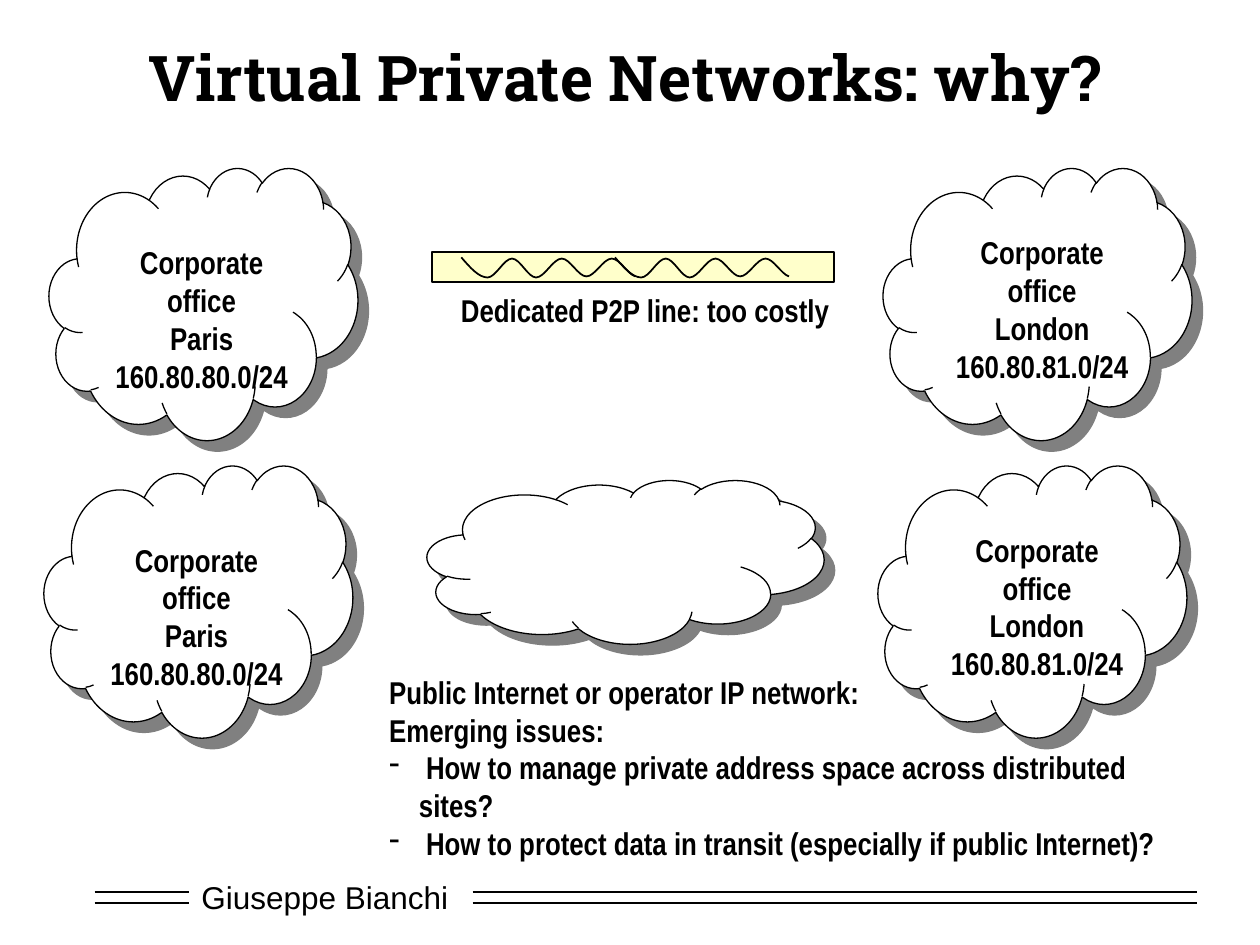
"""Build the slide on why virtual private networks are used."""
from lxml.etree import SubElement
from pptx import Presentation
from pptx.dml.color import RGBColor
from pptx.enum.shapes import MSO_CONNECTOR, MSO_SHAPE
from pptx.enum.text import MSO_ANCHOR, PP_ALIGN
from pptx.oxml.ns import qn
from pptx.util import Pt

COLORS = {"ink": "000000", "paper": "FFFFFF", "pipe": "FFFF99", "shade": "808080"}
NARROW = "Arial Narrow"
TITLE = "Virtual Private Networks: why?"
AUTHOR = "Giuseppe Bianchi"
LINK = "Dedicated P2P line: too costly"
OFFICES = [
    (["Corporate\voffice\vParis", "160.80.80.0/24"], (28.1, 95.8), (58.3, 135.4)),
    (["Corporate\voffice\vLondon", "160.80.81.0/24"], (504.7, 95.8), (538.6, 129.8)),
]
ROWS = [(0, 0), (-2.9, 170)]
HEADS = ["Public Internet or operator IP network:", "Emerging issues:"]
ISSUES = [
    " How to manage private address space across distributed sites?",
    " How to protect data in transit (especially if public Internet)?",
]
WAVE = [(0, 0), (15, 11.5), (29, 0.7), (42.7, 11.5), (57.4, 0.7),
        (71.5, 10.9), (86, 0.7), (99.4, 10.9)]
WAVES = [(263.6, 147.1), (351.4, 147.1)]
RULES = [(54, 108), (270, 684)]
LEVELS = [509.8, 516.2]
STEPS = 8


def color(name):
    return RGBColor.from_string(COLORS[name])


def text(slide, lines, place, face, size, bold=True, align=PP_ALIGN.LEFT,
         anchor=MSO_ANCHOR.TOP, wrap=False):
    box = slide.shapes.add_textbox(*map(Pt, place))
    frame = box.text_frame
    frame.text = "\n".join(lines)
    frame.word_wrap = wrap
    frame.vertical_anchor = anchor
    for para in frame.paragraphs:
        para.alignment = align
        for run in para.runs:
            font = run.font
            font.name, font.size, font.bold = face, Pt(size), bold
            font.color.rgb = color("ink")
    return box


def shape(slide, kind, place, fill, width):
    item = slide.shapes.add_shape(kind, *map(Pt, place))
    item.shadow.inherit = False
    item.fill.solid()
    item.fill.fore_color.rgb = color(fill)
    item.line.color.rgb = color("ink")
    item.line.width = Pt(width)
    return item


def cloud(slide, place):
    item = shape(slide, MSO_SHAPE.CLOUD, place, "paper", 0.75)
    effect = item.element.spPr.find(qn("a:effectLst"))
    shade = SubElement(effect, qn("a:outerShdw"), dist=str(Pt(8.5)),
                       dir="2700000", algn="ctr", rotWithShape="0")
    SubElement(shade, qn("a:srgbClr"), val=COLORS["shade"])


def curve():
    points = [WAVE[0]]
    last = len(WAVE) - 2
    for i, ((x, y), (u, v)) in enumerate(zip(WAVE, WAVE[1:])):
        lead = y + 5.8 if i == 0 else y
        tail = v - 1.5 if i == last else v
        for step in range(1, STEPS + 1):
            t = step / STEPS
            s = 1 - t
            rise = s**3 * y + 3 * s * s * t * lead + 3 * s * t * t * tail + t**3 * v
            points.append((x + (u - x) * t, rise))
    return points


def wave(slide, left, top):
    spots = [(Pt(left + x), Pt(top + y)) for x, y in curve()]
    form = slide.shapes.build_freeform(*spots[0], scale=1.0)
    form.add_line_segments(spots[1:], close=False)
    item = form.convert_to_shape()
    item.shadow.inherit = False
    item.fill.background()
    item.line.color.rgb = color("ink")
    item.line.width = Pt(1)


def rule(slide, start, end, level):
    line = slide.shapes.add_connector(
        MSO_CONNECTOR.STRAIGHT, Pt(start), Pt(level), Pt(end), Pt(level))
    line.line.color.rgb = color("ink")
    line.line.width = Pt(1)
    SubElement(line.element.spPr, qn("a:effectLst"))


def footer(slide):
    text(slide, [AUTHOR], (108, 498.2, 156, 28.8), "Arial", 18, False,
         anchor=MSO_ANCHOR.MIDDLE)
    for level in LEVELS:
        for start, end in RULES:
            rule(slide, start, end, level)


def issues(slide):
    box = text(slide, HEADS + ISSUES, (215.3, 380.9, 471.6, 93.6), NARROW, 18, wrap=True)
    for para in box.text_frame.paragraphs[len(HEADS):]:
        props = para._p.get_or_add_pPr()
        props.set("marL", str(Pt(17)))
        props.set("indent", str(Pt(-17)))
        SubElement(props, qn("a:buChar"), char="-")


def main():
    deck = Presentation()
    deck.slide_width, deck.slide_height = Pt(720), Pt(540)
    slide = deck.slides.add_slide(deck.slide_layouts[6])
    footer(slide)
    text(slide, [TITLE], (54, 18, 606, 51), "Roboto Slab", 36,
         align=PP_ALIGN.CENTER, anchor=MSO_ANCHOR.MIDDLE, wrap=True)
    for right, down in ROWS:
        for lines, (x, y), (u, v) in OFFICES:
            cloud(slide, (x + right, y + down, 176.4, 155.5))
            text(slide, lines, (u + right, v + down, 113.8, 93.6), NARROW, 18,
                 align=PP_ALIGN.CENTER)
    pipe = shape(slide, MSO_SHAPE.RECTANGLE, (247, 144, 229.7, 17.3), "pipe", 1)
    tint = pipe.element.spPr.find(qn("a:solidFill"))[0]
    SubElement(tint, qn("a:alpha"), val="50000")
    for left, top in WAVES:
        wave(slide, left, top)
    text(slide, [LINK], (256.3, 162.7, 225.4, 28.8), NARROW, 18)
    issues(slide)
    cloud(slide, (244.1, 274.3, 226.8, 93.6))
    deck.save("out.pptx")


if __name__ == "__main__":
    main()
